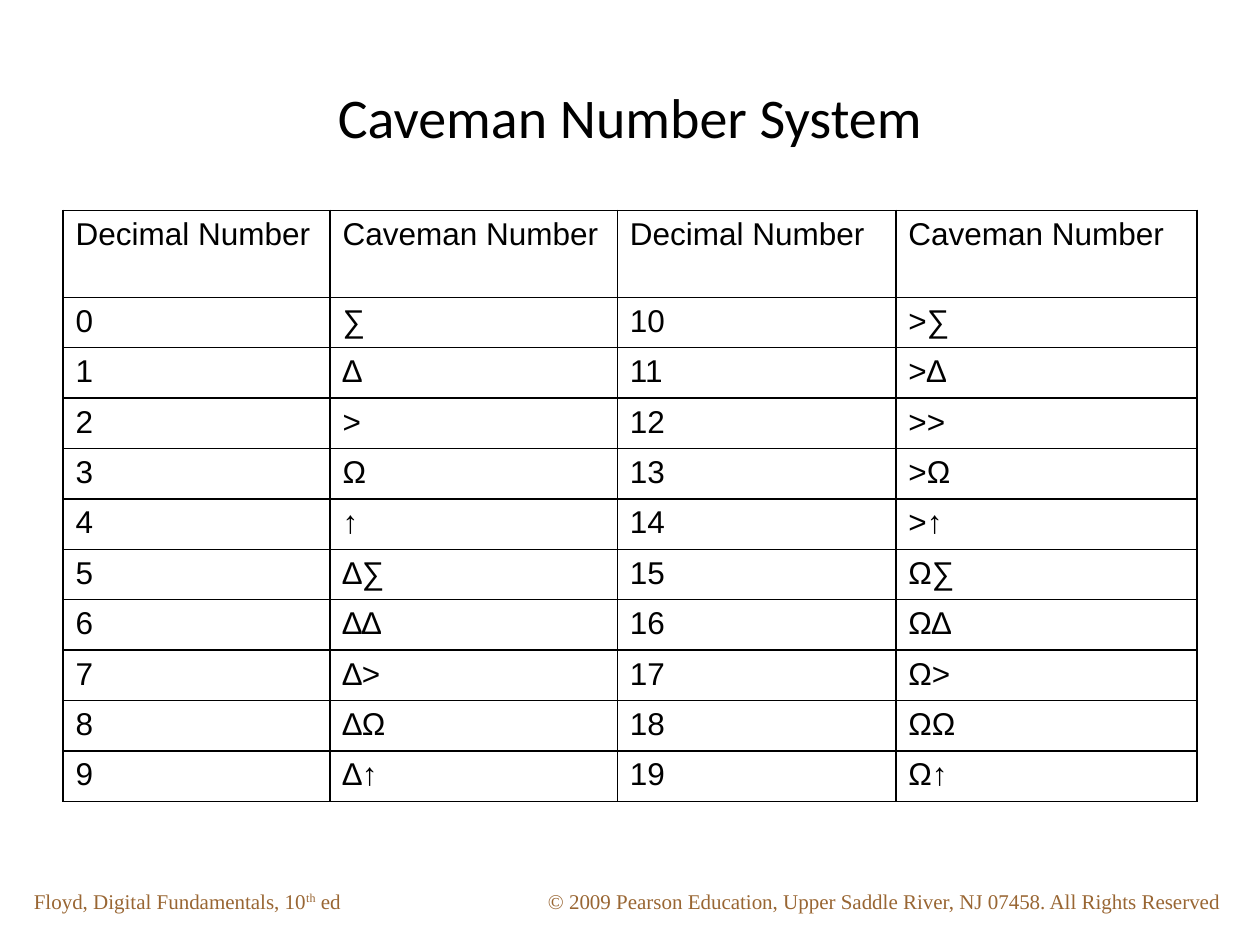
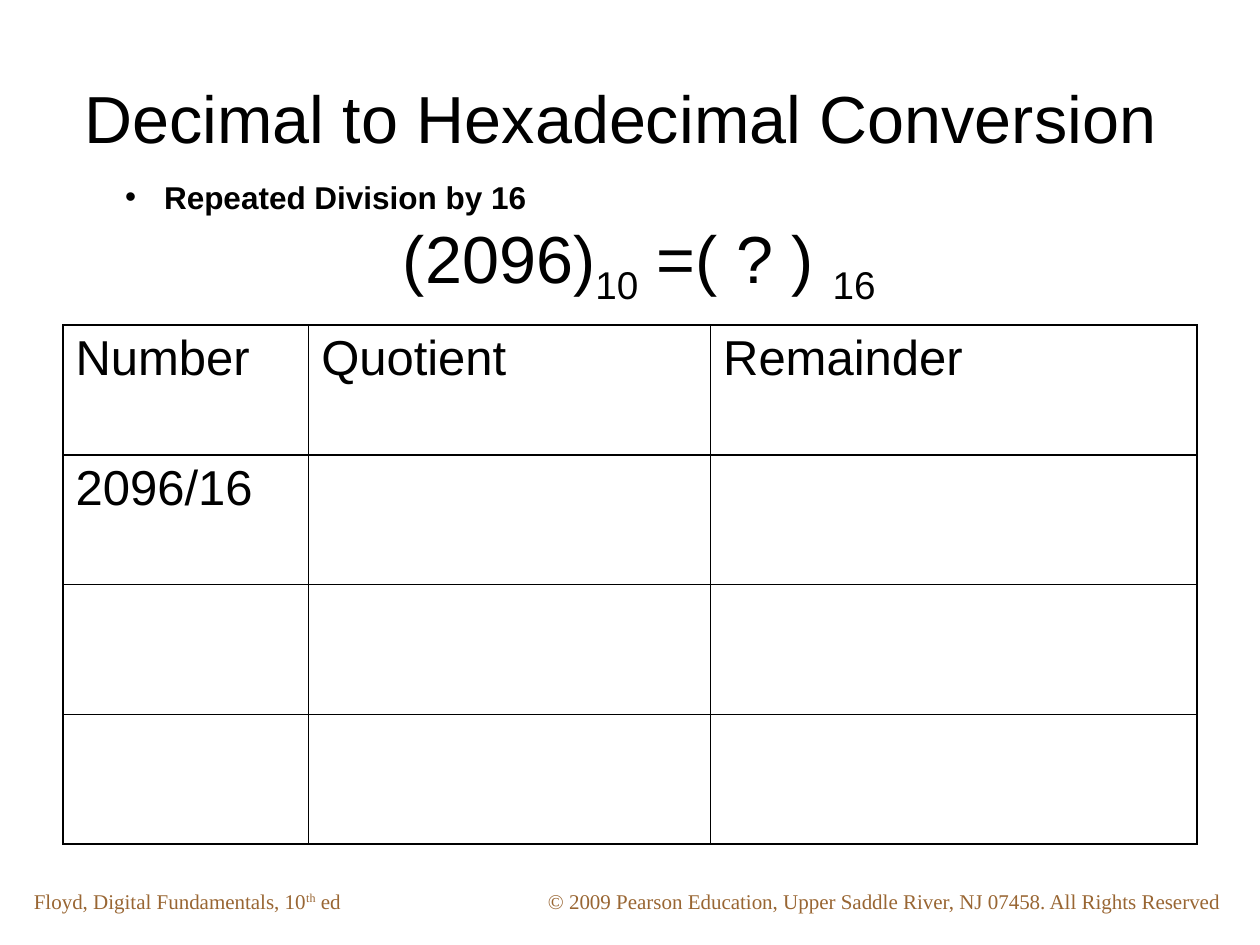
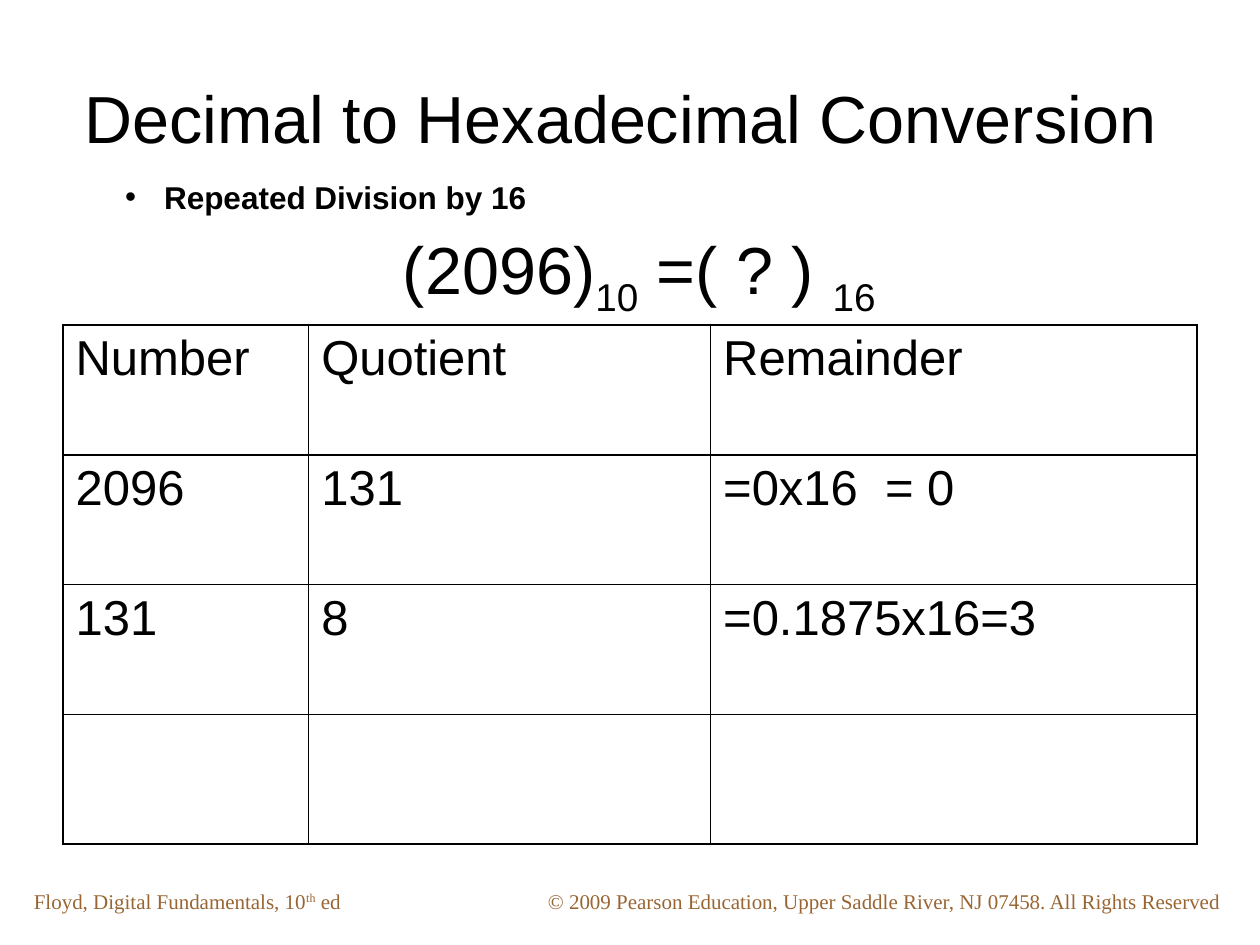
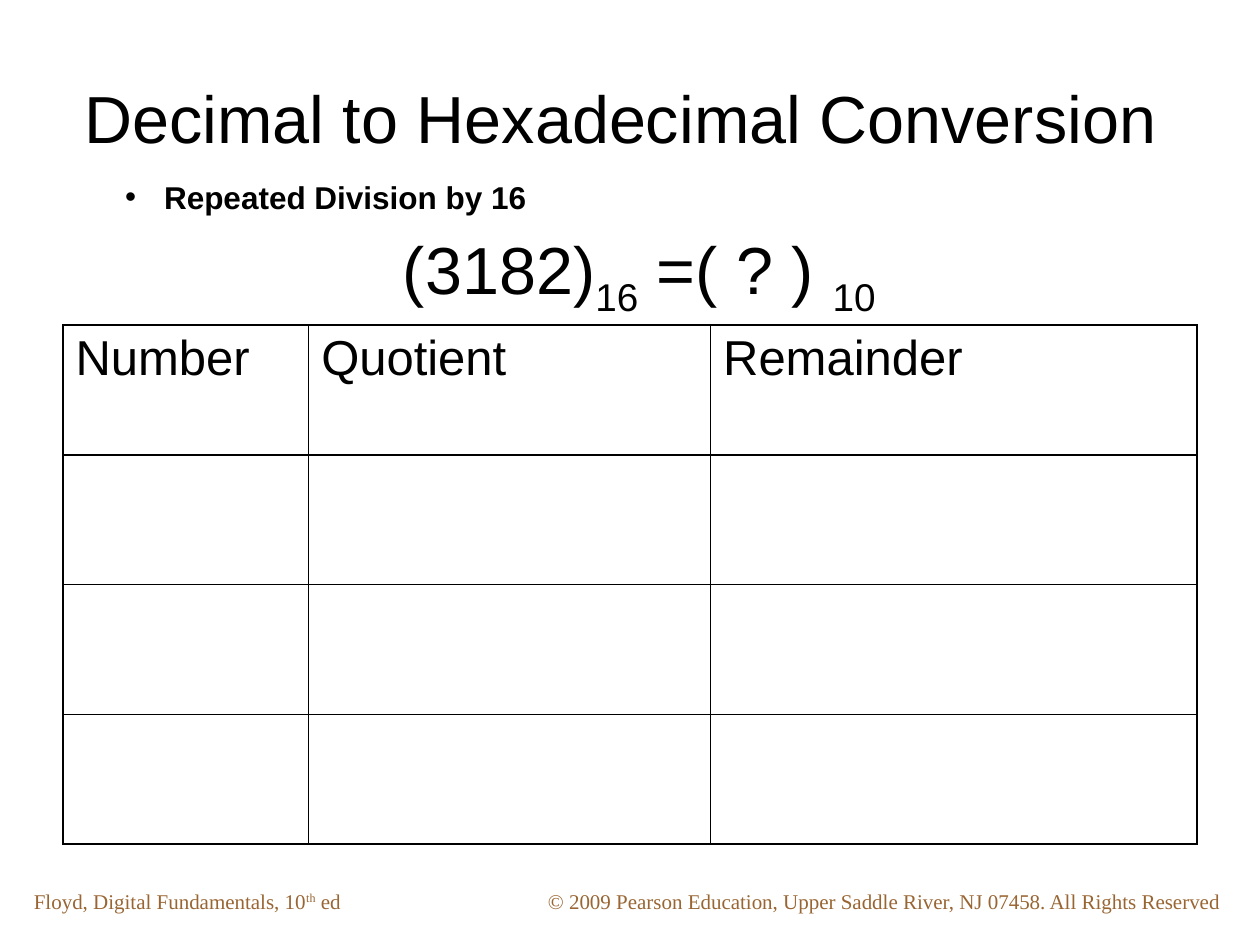
from lxml import etree
from pptx import Presentation
from pptx.dml.color import RGBColor
from pptx.enum.text import MSO_ANCHOR, MSO_AUTO_SIZE, PP_ALIGN
from pptx.oxml.ns import qn
from pptx.util import Pt

PX = 9144  # 100 px to the inch
LEFT, CENTER, JUSTIFY = PP_ALIGN.LEFT, PP_ALIGN.CENTER, PP_ALIGN.JUSTIFY
MIDDLE, TOP = MSO_ANCHOR.MIDDLE, MSO_ANCHOR.TOP
FIXED = MSO_AUTO_SIZE.NONE
COLORS = {"ink": "000000", "footer": "996633"}
TITLE_BOX = (50, 30, 900, 125)
RAISED, LOWERED = 30000, -25000


def set_text(shape, box, parts, size, face="Arial", color="ink",
             align=LEFT, anchor=TOP):
    """Place a shape and fill it with one paragraph of (text, baseline) parts."""
    shape.left, shape.top, shape.width, shape.height = [n * PX for n in box]
    frame = shape.text_frame
    frame.word_wrap = True
    frame.auto_size = FIXED
    frame.vertical_anchor = anchor
    par = frame.paragraphs[0]
    par.alignment = align
    par.font.size = Pt(size)
    par.font.name = face
    par.font.color.rgb = RGBColor.from_string(COLORS[color])
    for text, base in parts:
        run = par.add_run()
        run.text = text
        if base:
            run.font._element.set("baseline", str(base))
    return par


def add_grid(slide, top, cols, heights, rows, size, align):
    """Add a ruled table without fill, its text set with a hanging indent."""
    frame = slide.shapes.add_table(len(rows), len(cols), 50 * PX, top * PX,
                                   sum(cols) * PX, sum(heights) * PX)
    table = frame.table
    table.first_row = table.horz_banding = False
    for col, width in zip(table.columns, cols):
        col.width = width * PX
    for row, height, texts in zip(table.rows, heights, rows):
        row.height = height * PX
        for cell, text in zip(row.cells, texts):
            props = cell._tc.get_or_add_tcPr()
            for side in ("a:lnL", "a:lnR", "a:lnT", "a:lnB"):
                line = etree.SubElement(props, qn(side), w=str(Pt(1)))
                fill = etree.SubElement(line, qn("a:solidFill"))
                etree.SubElement(fill, qn("a:srgbClr"), val=COLORS["ink"])
            cell.fill.background()
            par = cell.text_frame.paragraphs[0]
            par.alignment = align
            indent = par._p.get_or_add_pPr()
            indent.set("marL", str(38 * PX))
            indent.set("indent", str(-38 * PX))
            par.font.size = Pt(size)
            par.font.name = "Arial"
            par.font.color.rgb = RGBColor.from_string(COLORS["ink"])
            if text:
                par.add_run().text = text


prs = Presentation()
prs.slide_width, prs.slide_height = 1000 * PX, 750 * PX
list_layout, title_layout = prs.slide_layouts[1], prs.slide_layouts[5]

# Caveman numbers
slide = prs.slides.add_slide(title_layout)
set_text(slide.shapes.title, TITLE_BOX, [("Caveman Number System", 0)], 32,
         "Calibri", align=CENTER, anchor=MIDDLE)
digits = "∑∆>Ω↑"
caveman = list(digits) + [a + b for a in digits[1:4] for b in digits]
rows = [("Decimal Number", "Caveman Number") * 2]
for n in range(10):
    rows.append((str(n), caveman[n], str(n + 10), caveman[n + 10]))
add_grid(slide, 167, [212, 228, 221, 239], [69] + [40] * 10, rows, 18, LEFT)

# Footers, shared by all slides through the master
footers = [
    ((425, 700, 558, 30),
     [("© 2009 Pearson Education, Upper Saddle River, NJ 07458. "
       "All Rights Reserved", 0)]),
    ((17, 700, 308, 30),
     [("Floyd, Digital Fundamentals, 10", 0), ("th", RAISED), (" ed", 0)]),
]
for box, parts in footers:
    note = slide.shapes.add_textbox(0, 0, 0, 0)
    set_text(note, box, parts, 12, "Times New Roman", "footer")
    prs.slide_master.shapes.element.append(note._element)

# Hexadecimal conversions: number, bases, top of the sum, rows under the head
blank = ("", "", "")
tasks = [
    ("2096", "10", "16", 167, [("2096/16", "", ""), blank, blank]),
    ("2096", "10", "16", 176, [("2096", "131", "=0x16  = 0"),
                               ("131", "8", "=0.1875x16=3"), blank]),
    ("3182", "16", "10", 176, [blank] * 3),
]
for number, source, target, top, steps in tasks:
    slide = prs.slides.add_slide(list_layout)
    set_text(slide.shapes.title, TITLE_BOX,
             [("Decimal to Hexadecimal Conversion ", 0)], 38,
             align=CENTER, anchor=MIDDLE)

    par = set_text(slide.placeholders[1], (75, 135, 367, 42),
                   [("Repeated Division by 16", 0)], 18,
                   align=CENTER, anchor=MIDDLE)
    par.space_before = Pt(0)
    par.font.bold = True
    props = par._p.get_or_add_pPr()
    props.set("marL", str(31 * PX))
    props.set("indent", str(-31 * PX))
    bullet = etree.Element(qn("a:buChar"), char="•")
    props.find(qn("a:defRPr")).addprevious(bullet)

    add_grid(slide, 258, [195, 319, 386], [103] * 4,
             [("Number", "Quotient", "Remainder")] + steps, 28, JUSTIFY)
    set_text(slide.shapes.add_textbox(0, 0, 0, 0), (310, top, 480, 74),
             [(f"({number})", 0), (source, LOWERED), (" =( ? ) ", 0),
              (target, LOWERED)], 38)

prs.save("out.pptx")
